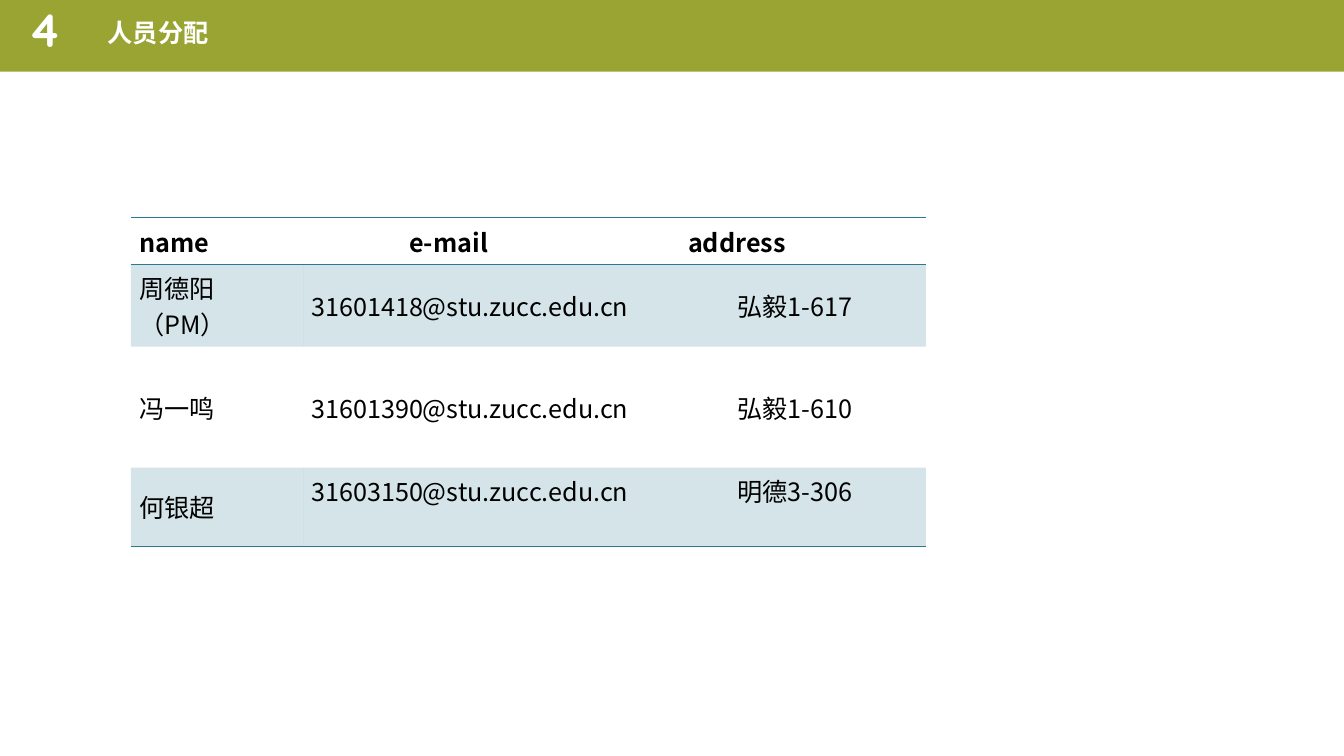
from lxml.etree import SubElement
from pptx import Presentation
from pptx.dml.color import RGBColor
from pptx.enum.shapes import MSO_SHAPE
from pptx.enum.text import MSO_ANCHOR, MSO_AUTO_SIZE, PP_ALIGN
from pptx.oxml.ns import qn
from pptx.util import Inches, Pt

COLORS = {"olive": "9AA433", "teal": "2C7892", "white": "FFFFFF", "black": "000000"}
NO_STYLE = "{2D5ABB26-0587-4C30-8999-92F81FD0307C}"


def format_paragraph(paragraph, size, color, bold, name="Quicksand"):
    font = paragraph.font
    font.size = Pt(size)
    font.bold = bold
    font.color.rgb = RGBColor.from_string(COLORS[color])
    font.name = name
    SubElement(font._element, qn("a:ea"), typeface=name)


def add_border(cell, tag, visible):
    line = SubElement(cell._tc.get_or_add_tcPr(), qn(tag), w=str(Pt(0.45)))
    if visible:
        fill = SubElement(line, qn("a:solidFill"))
        SubElement(fill, qn("a:srgbClr"), val=COLORS["teal"])
    else:
        SubElement(line, qn("a:noFill"))


presentation = Presentation()
presentation.slide_width = Inches(13.34)
presentation.slide_height = Inches(7.5)
slide = presentation.slides.add_slide(presentation.slide_layouts[5])
title = slide.shapes.title

header = slide.shapes.add_shape(
    MSO_SHAPE.RECTANGLE, 0, 0, presentation.slide_width, Inches(0.71))
header.shadow.inherit = False
header.fill.solid()
header.fill.fore_color.rgb = RGBColor.from_string(COLORS["olive"])
header.line.fill.background()
title._element.addprevious(header._element)

title.left, title.top = Inches(0.97), Inches(0.16)
title.width, title.height = Inches(4.18), Inches(0.4)
title.text_frame.text = "人员分配"
title.text_frame.vertical_anchor = MSO_ANCHOR.TOP
title.text_frame.auto_size = MSO_AUTO_SIZE.NONE
heading = title.text_frame.paragraphs[0]
heading.alignment = PP_ALIGN.LEFT
heading.line_spacing = 0.9
format_paragraph(heading, 18, "white", True)

number = slide.shapes.add_textbox(Inches(0.18), Inches(0.09), Inches(0.79), Inches(0.52))
number.text_frame.word_wrap = True
number.text_frame.vertical_anchor = MSO_ANCHOR.MIDDLE
number.text_frame.text = "4"
number.text_frame.paragraphs[0].line_spacing = 0.7
format_paragraph(number.text_frame.paragraphs[0], 33.3, "white", True)

staff = [
    ("name", "\te-mail\taddress", (0.97, 3.74)),
    ("周德阳（PM）", "31601418@stu.zucc.edu.cn\t弘毅1-617", (4.23,)),
    ("冯一鸣", "31601390@stu.zucc.edu.cn\t弘毅1-610", (4.23,)),
    ("何银超", "31603150@stu.zucc.edu.cn\t明德3-306", (4.23,)),
]
row_heights = [0.46, 0.82, 1.2, 0.78]
table = slide.shapes.add_table(
    len(staff), 2, Inches(1.3), Inches(2.16), Inches(7.89), Inches(sum(row_heights))).table
table._tbl.tblPr.find(qn("a:tableStyleId")).text = NO_STYLE
table.columns[0].width = Inches(1.71)
table.columns[1].width = Inches(6.18)

for row, (name, contact, stops) in enumerate(staff):
    table.rows[row].height = Inches(row_heights[row])
    for column, text in enumerate((name, contact)):
        cell = table.cell(row, column)
        cell.text = text
        cell.vertical_anchor = MSO_ANCHOR.MIDDLE
        cell.margin_left = cell.margin_right = Inches(0.08)
        paragraph = cell.text_frame.paragraphs[0]
        if column == 1:
            tabs = SubElement(paragraph._p.get_or_add_pPr(), qn("a:tabLst"))
            for stop in stops:
                SubElement(tabs, qn("a:tab"), pos=str(Inches(stop)), algn="l")
        format_paragraph(paragraph, 18, "black", row == 0, "Noto Sans CJK SC")
        add_border(cell, "a:lnT", row in (0, 1))
        add_border(cell, "a:lnB", row in (0, 3))
        if row % 2:
            cell.fill.solid()
            cell.fill.fore_color.rgb = RGBColor.from_string(COLORS["teal"])
            color = cell._tc.tcPr.find(qn("a:solidFill")).find(qn("a:srgbClr"))
            SubElement(color, qn("a:alpha"), val="20000")
        else:
            cell.fill.background()
table.cell(3, 1).vertical_anchor = MSO_ANCHOR.TOP

presentation.save("out.pptx")
